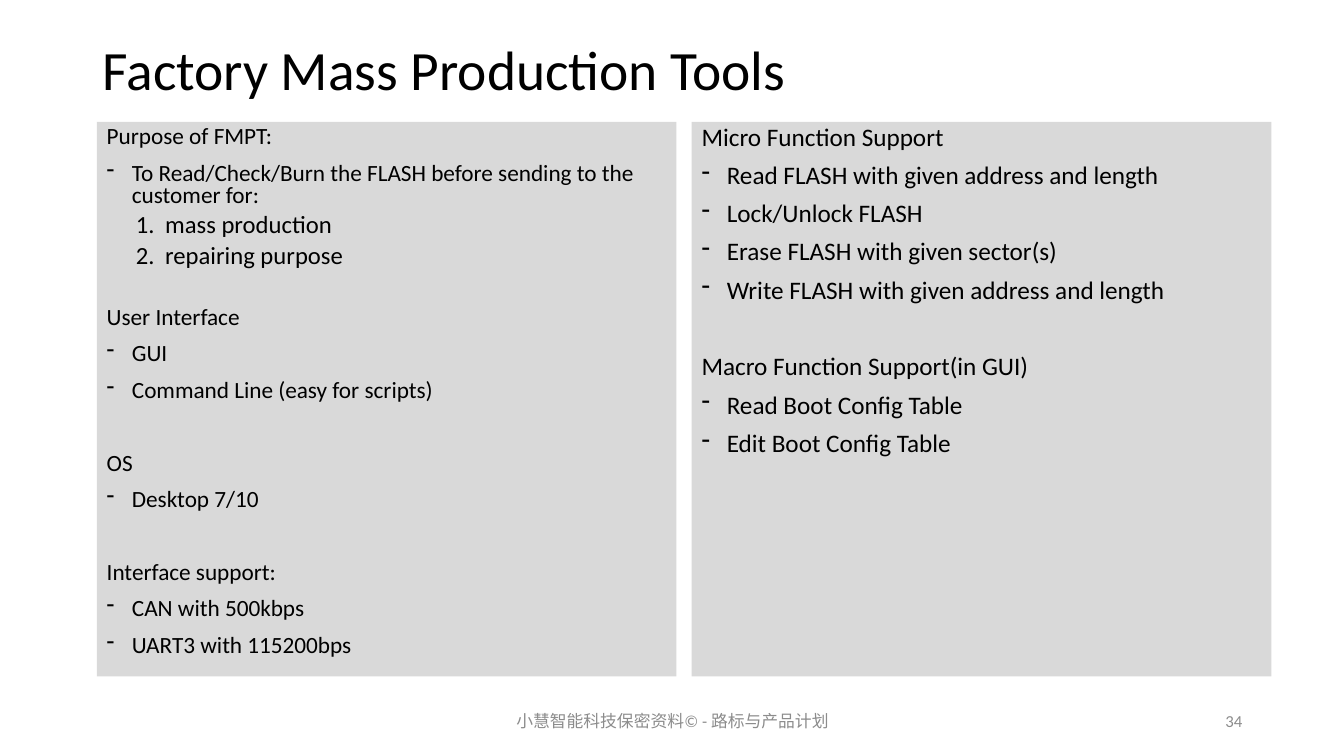
import pptx
import pptx.util
import pptx.dml.color
import pptx.enum.shapes
import pptx.enum.text
from lxml import etree

Inches, Pt = pptx.util.Inches, pptx.util.Pt
Align = pptx.enum.text.PP_ALIGN
Anchor = pptx.enum.text.MSO_ANCHOR
BLACK = pptx.dml.color.RGBColor(0x00, 0x00, 0x00)
GREY = pptx.dml.color.RGBColor(0x8C, 0x8C, 0x8C)
PANEL = pptx.dml.color.RGBColor(0xD9, 0xD9, 0xD9)
FONT = "Calibri"

TITLE = "Factory Mass Production Tools"
FOOTER = "小慧智能科技保密资料© - 路标与产品计划"
NUMBER = "34"

# Each section: space before its heading (pt), heading, dashed items, numbered items
LEFT = [
    (0, "Purpose of FMPT:",
     ["To Read/Check/Burn the FLASH before sending to the customer for:"],
     ["mass production", "repairing purpose"]),
    (27.6, "User Interface", ["GUI", "Command Line (easy for scripts)"], []),
    (36.2, "OS", ["Desktop 7/10"], []),
    (36.2, "Interface support:", ["CAN with 500kbps", "UART3 with 115200bps"], []),
]
RIGHT = [
    (0, "Micro Function Support",
     ["Read FLASH with given address and length", "Lock/Unlock FLASH",
      "Erase FLASH with given sector(s)",
      "Write FLASH with given address and length"], []),
    (37.6, "Macro Function Support(in GUI)",
     ["Read Boot Config Table", "Edit Boot Config Table"], []),
]
PANELS = [(LEFT, 16.6), (RIGHT, 18)]
SUB = 17.6

# kind: left margin, hanging indent, space before, bullet tag, bullet attributes
KINDS = {
    "head": (0.25, 0.25, 10, "buNone", {}),
    "dash": (0.25, 0.25, 10, "buChar", {"char": "-"}),
    "num": (0.58, 0.29, 5, "buAutoNum", {"type": "arabicPeriod"}),
}


def style(para, size, color):
    para.font.name = FONT
    para.font.size = Pt(size)
    para.font.color.rgb = color


def label(text, box, size, color, align):
    frame = slide.shapes.add_textbox(*map(Inches, box)).text_frame
    frame.word_wrap = True
    frame.vertical_anchor = Anchor.MIDDLE
    para = frame.paragraphs[0]
    para.text = text
    para.alignment = align
    style(para, size, color)
    return para


def rows(sections, size):
    """Yield text, kind, size and space before for every line of a panel."""
    for gap, head, dashes, nums in sections:
        yield head, "head", size, gap
        for kind, items, pts in (("dash", dashes, size), ("num", nums, SUB)):
            for item in items:
                yield item, kind, pts, KINDS[kind][2]


def panel(left, sections, size):
    shape = slide.shapes.add_shape(
        pptx.enum.shapes.MSO_SHAPE.RECTANGLE,
        Inches(left), Inches(1.21), Inches(5.75), Inches(5.5))
    shape.shadow.inherit = False
    shape.fill.solid()
    shape.fill.fore_color.rgb = PANEL
    shape.line.fill.background()
    frame = shape.text_frame
    frame.word_wrap = True
    frame.vertical_anchor = Anchor.TOP
    for i, (text, kind, pts, gap) in enumerate(rows(sections, size)):
        para = frame.add_paragraph() if i else frame.paragraphs[0]
        para.text = text
        para.alignment = Align.LEFT
        para.line_spacing = 0.8
        para.space_before = Pt(gap)
        margin, hang, _, tag, attrs = KINDS[kind]
        para.level = int(kind == "num")
        props = para._p.get_or_add_pPr()
        props.set("marL", str(Inches(margin)))
        props.set("indent", str(-Inches(hang)))
        etree.SubElement(props, pptx.oxml.ns.qn("a:" + tag), attrs)
        style(para, pts, BLACK)


deck = pptx.Presentation()
deck.slide_width, deck.slide_height = Inches(13.33), Inches(7.5)
slide = deck.slides.add_slide(deck.slide_layouts[6])

title = label(TITLE, (0.92, 0.4, 11.5, 0.63), 39.6, BLACK, Align.LEFT)
title.line_spacing = 0.9
for i, (sections, size) in enumerate(PANELS):
    panel(0.96 + 5.9 * i, sections, size)
label(FOOTER, (4.42, 6.95, 4.5, 0.4), 12, GREY, Align.CENTER)
label(NUMBER, (9.42, 6.95, 3, 0.4), 12, GREY, Align.RIGHT)

deck.save("out.pptx")
